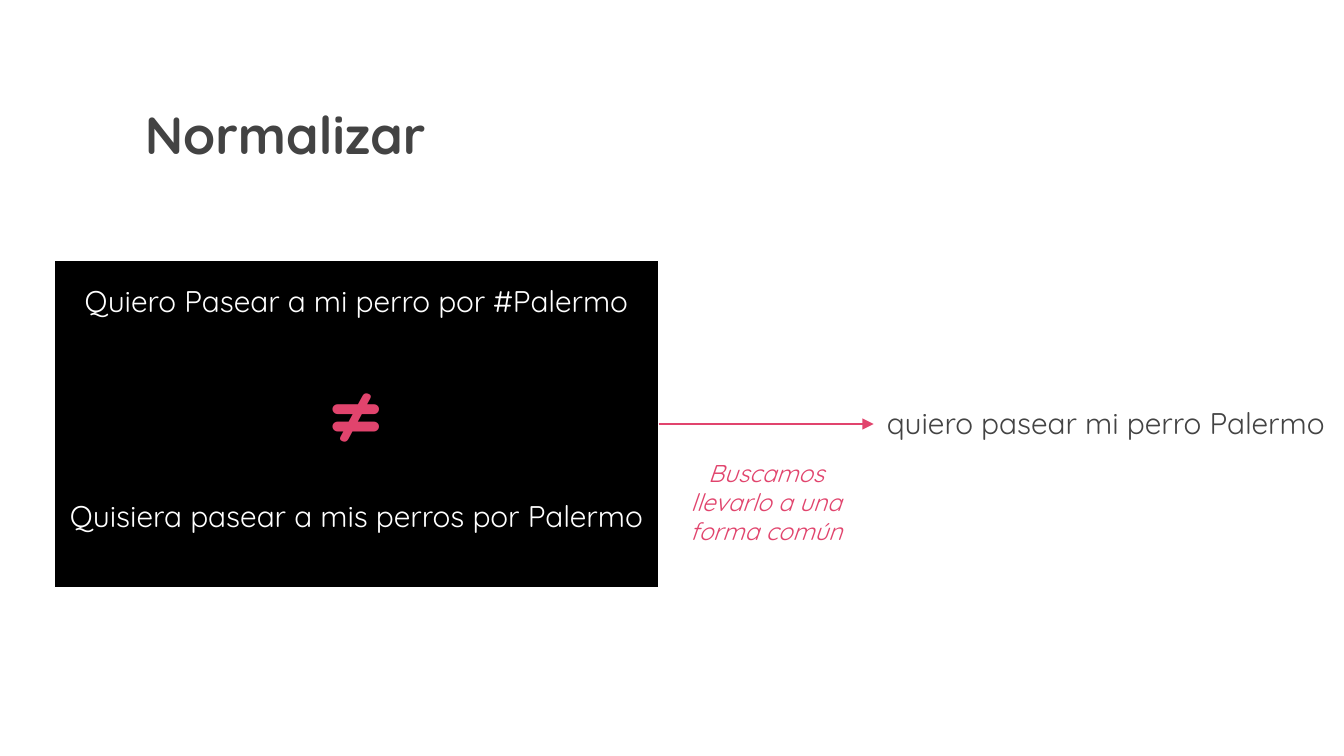
from lxml import etree
from pptx import Presentation
from pptx.dml.color import RGBColor
from pptx.enum.shapes import MSO_CONNECTOR as CONN, MSO_SHAPE as SHAPE
from pptx.enum.text import MSO_ANCHOR as ANCHOR, PP_ALIGN as ALIGN
from pptx.oxml.ns import qn
from pptx.util import Pt

PX = 4572
FONT = "Quicksand"
COLORS = {"box": "000000", "white": "FFFFFF", "text": "434343", "accent": "E1446D"}


def px(*lengths):
    return [n * PX for n in lengths]


def color(name):
    return RGBColor.from_string(COLORS[name])


def add_text(s, text, x, y, w, h, size=16, fill="text", align=ALIGN.LEFT,
             anchor=ANCHOR.TOP, bold=False, italic=False):
    tf = s.shapes.add_textbox(*px(x, y, w, h)).text_frame
    tf.word_wrap = True
    tf.vertical_anchor = anchor
    tf.margin_left = tf.margin_right = tf.margin_top = tf.margin_bottom = 20 * PX
    p = tf.paragraphs[0]
    p.alignment = align
    r = p.add_run()
    r.text = text
    r.font.name = FONT
    r.font.size = Pt(size)
    r.font.bold = bold
    r.font.italic = italic
    r.font.color.rgb = color(fill)


def add_title(s, x, y, w, h):
    add_text(s, "Normalizar", x, y, w, h, size=28, bold=True)


def add_comparison(s, x, y, w, h):
    sp = s.shapes.add_shape(SHAPE.RECTANGLE, *px(x, y, w, h))
    sp.shadow.inherit = False
    sp.fill.solid()
    sp.fill.fore_color.rgb = color("box")
    sp.line.color.rgb = color("white")
    sp.line.width = Pt(0.75)
    sentences = [("Quiero Pasear a mi perro por #Palermo", 13),
                 ("Quisiera pasear a mis perros por Palermo", 333)]
    for text, dy in sentences:
        add_text(s, text, x, y + dy, w, 98, fill="white", align=ALIGN.CENTER)
    add_text(s, "≠", x, y + 139, w, 166, size=48, fill="accent",
             align=ALIGN.CENTER, anchor=ANCHOR.MIDDLE, bold=True)


def add_step(s, x, y, w, h):
    line = s.shapes.add_connector(CONN.STRAIGHT, *px(x, y, x + w, y))
    line.line.color.rgb = color("accent")
    line.line.width = Pt(0.75)
    ln = line.line._get_or_add_ln()
    etree.SubElement(ln, qn("a:tailEnd"), type="triangle")
    etree.SubElement(line._element.spPr, qn("a:effectLst"))
    add_text(s, "Buscamos llevarlo a una forma común", x + 10, y + 31, w - 20, h - 31,
             size=13, fill="accent", align=ALIGN.CENTER, italic=True)


def add_result(s, x, y, w, h):
    add_text(s, "quiero pasear mi perro Palermo", x, y, w, h)


def main():
    prs = Presentation()
    prs.slide_width, prs.slide_height = px(2000, 1125)
    s = prs.slides.add_slide(prs.slide_layouts[6])
    add_comparison(s, 81, 388, 899, 486)
    add_title(s, 196, 132, 1604, 128)
    add_result(s, 1300, 582, 780, 98)
    add_step(s, 980, 631, 320, 129)
    prs.save("out.pptx")


if __name__ == "__main__":
    main()
